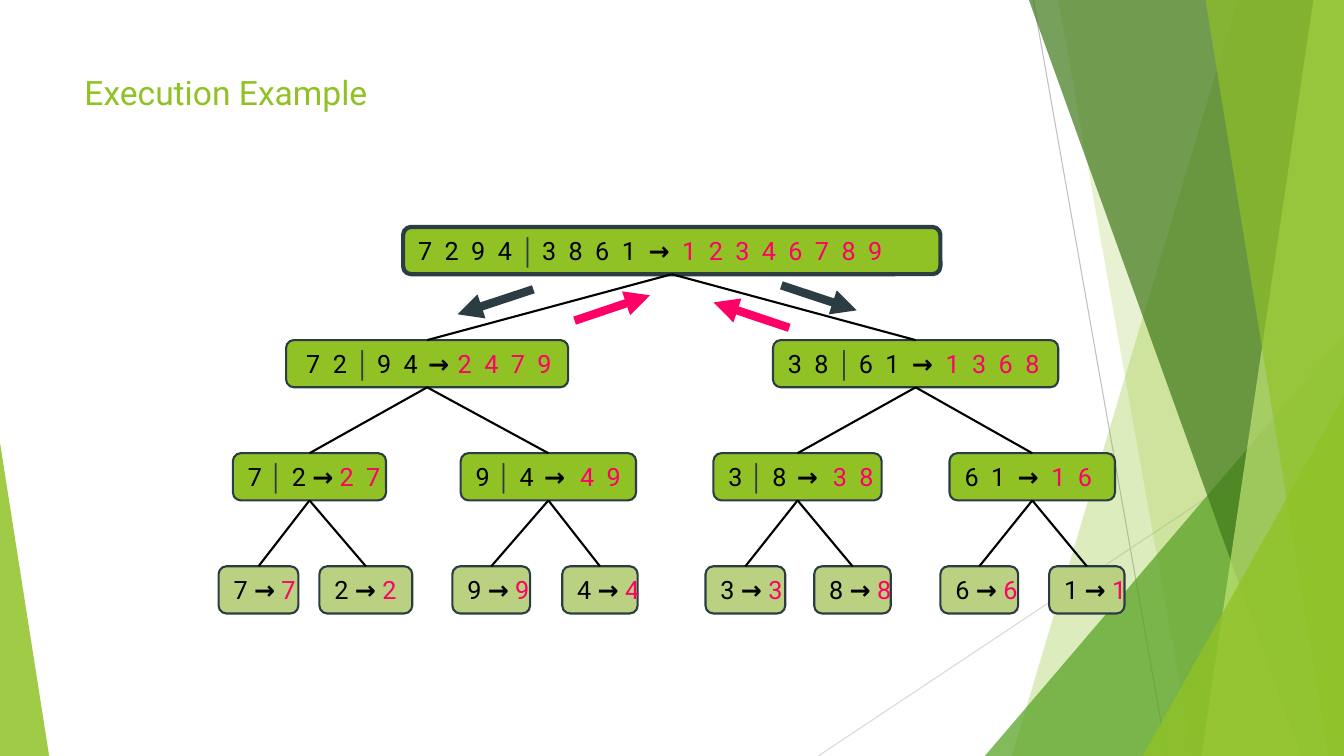
from dataclasses import dataclass

from lxml import etree
from pptx import Presentation
from pptx.dml.color import RGBColor
from pptx.enum.shapes import MSO_CONNECTOR, MSO_SHAPE
from pptx.enum.text import MSO_ANCHOR, PP_ALIGN
from pptx.oxml.ns import qn
from pptx.shapes.autoshape import Shape
from pptx.shapes.connector import Connector
from pptx.slide import Slide
from pptx.util import Cm, Pt

BLACK = RGBColor(0x00, 0x00, 0x00)
SLATE = RGBColor(0x2C, 0x3C, 0x43)
PINK = RGBColor(0xFF, 0x00, 0x66)
LIME = RGBColor(0x90, 0xC2, 0x26)
PALE_LIME = RGBColor(0xB9, 0xD1, 0x81)
GREEN = RGBColor(0x54, 0xA0, 0x21)
DARK_GREEN = RGBColor(0x3F, 0x78, 0x19)
LIGHT_LIME = RGBColor(0xC0, 0xE4, 0x74)
GREY = RGBColor(0xBF, 0xBF, 0xBF)
LIGHT_GREY = RGBColor(0xD9, 0xD9, 0xD9)

WIDTH, HEIGHT = 33.87, 19.05
LEVEL_TOP, LEVEL_STEP, NODE_HEIGHT = 5.72, 2.85, 1.19
DIGIT_TRACKING = 2.2  # points between the digits of a list


@dataclass(frozen=True)
class Panel:
    """A band that reaches the right edge of the slide."""
    top_x: float
    bottom_x: float
    color: RGBColor
    opacity: int


@dataclass(frozen=True)
class Corner:
    """A triangle that stands on the bottom edge of the slide."""
    left: float
    top: float
    width: float
    apex: float
    color: RGBColor
    opacity: int


@dataclass(frozen=True)
class Line:
    start: tuple[float, float]
    end: tuple[float, float]
    color: RGBColor
    width: float


@dataclass(frozen=True)
class Node:
    left: float
    width: float
    groups: tuple[str, ...]
    result: str
    arrow_tracking: float = 0
    inset: float = 0.32


BACKDROP = (
    Panel(31.19, 25.5, LIME, 30),
    Panel(26.67, 30.05, LIME, 20),
    Corner(24.82, 8.46, 9.05, 1, GREEN, 72),
    Panel(25.93, 32.79, DARK_GREEN, 70),
    Panel(33.1, 30.28, LIGHT_LIME, 70),
    Panel(30.38, 33.48, LIME, 65),
    Corner(28.8, 9.98, 5.07, 1, LIME, 80),
    Corner(0, 11.15, 1.24, 0, LIME, 85),
)
HAIRLINES = (
    Line((26.04, 0), (29.41, HEIGHT), GREY, 0.75),
    Line((WIDTH, 10.24), (20.62, HEIGHT), LIGHT_GREY, 0.75),
)
# Level by level: the children of node i are nodes 2i + 1 and 2i + 2
TREE = (
    Node(10.16, 13.54, ("7 2 9 4", "3 8 6 1"), "1 2 3 4 6 7 8 9", 2.2),
    Node(7.21, 7.11, ("7 2", "9 4"), "2 4 7 9", 0.75, 0.45),
    Node(19.48, 7.19, ("3 8", "6 1"), "1 3 6 8", 2.2),
    Node(5.87, 3.86, ("7", "2"), "2 7"),
    Node(11.61, 4.42, ("9", "4"), "4 9", 3),
    Node(17.98, 4.24, ("3", "8"), "3 8", 3),
    Node(23.93, 4.17, ("6 1",), "1 6", 2.2),
    Node(5.51, 2.01, ("7",), "7"),
    Node(8.05, 2.34, ("2",), "2"),
    Node(11.4, 1.96, ("9",), "9"),
    Node(14.17, 1.9, ("4",), "4"),
    Node(17.78, 2.01, ("3",), "3"),
    Node(20.52, 1.93, ("8",), "8"),
    Node(23.7, 1.96, ("6",), "6"),
    Node(26.44, 1.9, ("1",), "1"),
)
FLOW_ARROWS = (
    Line((13.44, 7.29), (11.53, 7.92), SLATE, 6),
    Line((19.89, 8.26), (17.98, 7.62), PINK, 6),
    Line((14.48, 8.08), (16.38, 7.44), PINK, 6),
    Line((19.69, 7.19), (21.59, 7.82), SLATE, 6),
)


def fill_backdrop(shape: Shape, color: RGBColor, opacity: int) -> None:
    shape.shadow.inherit = False
    shape.line.fill.background()
    shape.fill.solid()
    shape.fill.fore_color.rgb = color
    color_element = shape.fill._xPr.find(qn("a:solidFill"))[0]
    etree.SubElement(color_element, qn("a:alpha"), val=str(opacity * 1000))


def draw_backdrop(slide: Slide, part: Panel | Corner) -> None:
    if isinstance(part, Panel):
        builder = slide.shapes.build_freeform(Cm(part.top_x), 0)
        builder.add_line_segments([
            (Cm(WIDTH), 0), (Cm(WIDTH), Cm(HEIGHT)), (Cm(part.bottom_x), Cm(HEIGHT))])
        shape = builder.convert_to_shape()
    else:
        shape = slide.shapes.add_shape(
            MSO_SHAPE.ISOSCELES_TRIANGLE, Cm(part.left), Cm(part.top),
            Cm(part.width), Cm(HEIGHT - part.top))
        shape.adjustments[0] = part.apex
    fill_backdrop(shape, part.color, part.opacity)


def draw_line(slide: Slide, line: Line, arrow: bool = False) -> Connector:
    connector = slide.shapes.add_connector(
        MSO_CONNECTOR.STRAIGHT, *(Cm(value) for value in line.start + line.end))
    connector.line.color.rgb = line.color
    connector.line.width = Pt(line.width)
    if arrow:
        etree.SubElement(connector.line._get_or_add_ln(), qn("a:tailEnd"), type="triangle")
    etree.SubElement(connector._element.spPr, qn("a:effectLst"))
    return connector


def add_run(paragraph, text: str, color: RGBColor, tracking: float, bold: bool = False):
    run = paragraph.add_run()
    run.text = text
    run.font.color.rgb = color
    run.font.bold = bold
    run._r.get_or_add_rPr().set("spc", str(round(tracking * 100)))
    return run


def list_tracking(digits: str) -> float:
    return DIGIT_TRACKING if " " in digits else 0


def draw_node(slide: Slide, node: Node, level: int) -> Shape:
    shape = slide.shapes.add_shape(
        MSO_SHAPE.ROUNDED_RECTANGLE, Cm(node.left), Cm(LEVEL_TOP + level * LEVEL_STEP),
        Cm(node.width), Cm(NODE_HEIGHT))
    shape.shadow.inherit = False
    shape.fill.solid()
    shape.fill.fore_color.rgb = PALE_LIME if level == 3 else LIME
    shape.line.color.rgb = SLATE
    shape.line.width = Pt(3 if level == 0 else 1.5)
    frame = shape.text_frame
    frame.word_wrap = False
    frame.vertical_anchor = MSO_ANCHOR.MIDDLE
    frame.margin_left = Cm(node.inset)
    paragraph = frame.paragraphs[0]
    paragraph.alignment = PP_ALIGN.LEFT
    paragraph.font.size = Pt(18)
    paragraph.font.name = "Roboto"
    for index, group in enumerate(node.groups):
        if index:
            divider = add_run(paragraph, " │ ", SLATE, -1 if " " in group else 0, bold=True)
            divider.font.name = "Arial"
        add_run(paragraph, group, BLACK, list_tracking(group))
    add_run(paragraph, " → ", BLACK, node.arrow_tracking, bold=True)
    add_run(paragraph, node.result, PINK, list_tracking(node.result))
    return shape


def draw_title(slide: Slide, text: str) -> None:
    frame = slide.shapes.add_textbox(Cm(1.88), Cm(1.7), Cm(23.88), Cm(3.66)).text_frame
    frame.word_wrap = True
    paragraph = frame.paragraphs[0]
    paragraph.text = text
    paragraph.font.size = Pt(24)
    paragraph.font.name = "Roboto"
    paragraph.font.color.rgb = LIME


def main() -> None:
    presentation = Presentation()
    presentation.slide_width, presentation.slide_height = Cm(WIDTH), Cm(HEIGHT)
    slide = presentation.slides.add_slide(presentation.slide_layouts[6])

    # Backdrop and title
    for hairline in HAIRLINES:
        draw_line(slide, hairline)
    for part in BACKDROP:
        draw_backdrop(slide, part)
    draw_title(slide, "Execution Example")

    # Tree nodes, then a branch from each parent to its child
    boxes = [draw_node(slide, node, (index + 1).bit_length() - 1)
             for index, node in enumerate(TREE)]
    for index, box in enumerate(boxes[1:], start=1):
        branch = draw_line(slide, Line((0, 0), (0, 0), BLACK, 1.5))
        branch.begin_connect(boxes[(index - 1) // 2], 2)
        branch.end_connect(box, 0)

    # Split and merge arrows
    for arrow in FLOW_ARROWS:
        draw_line(slide, arrow, arrow=True)

    presentation.save("out.pptx")


if __name__ == "__main__":
    main()
